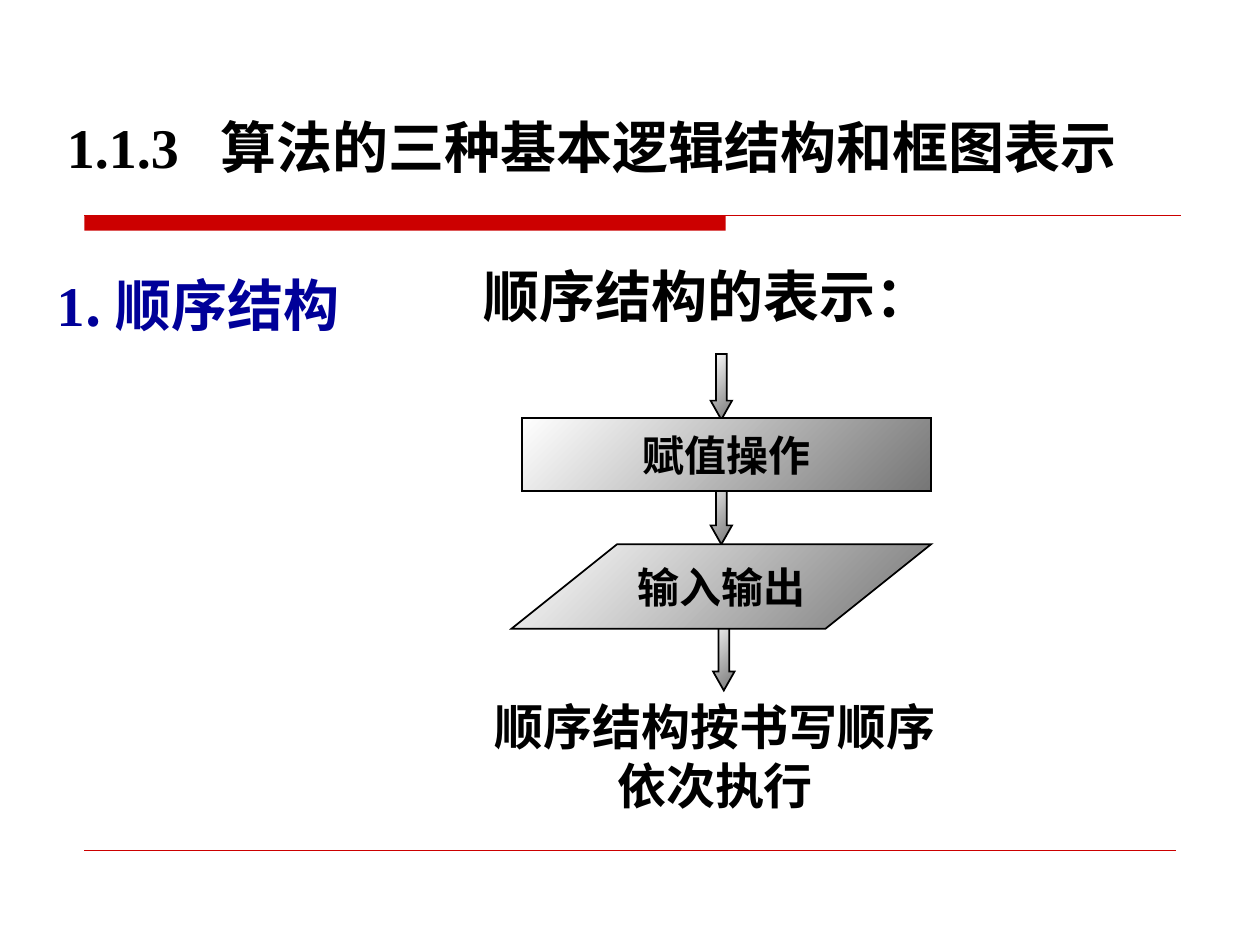
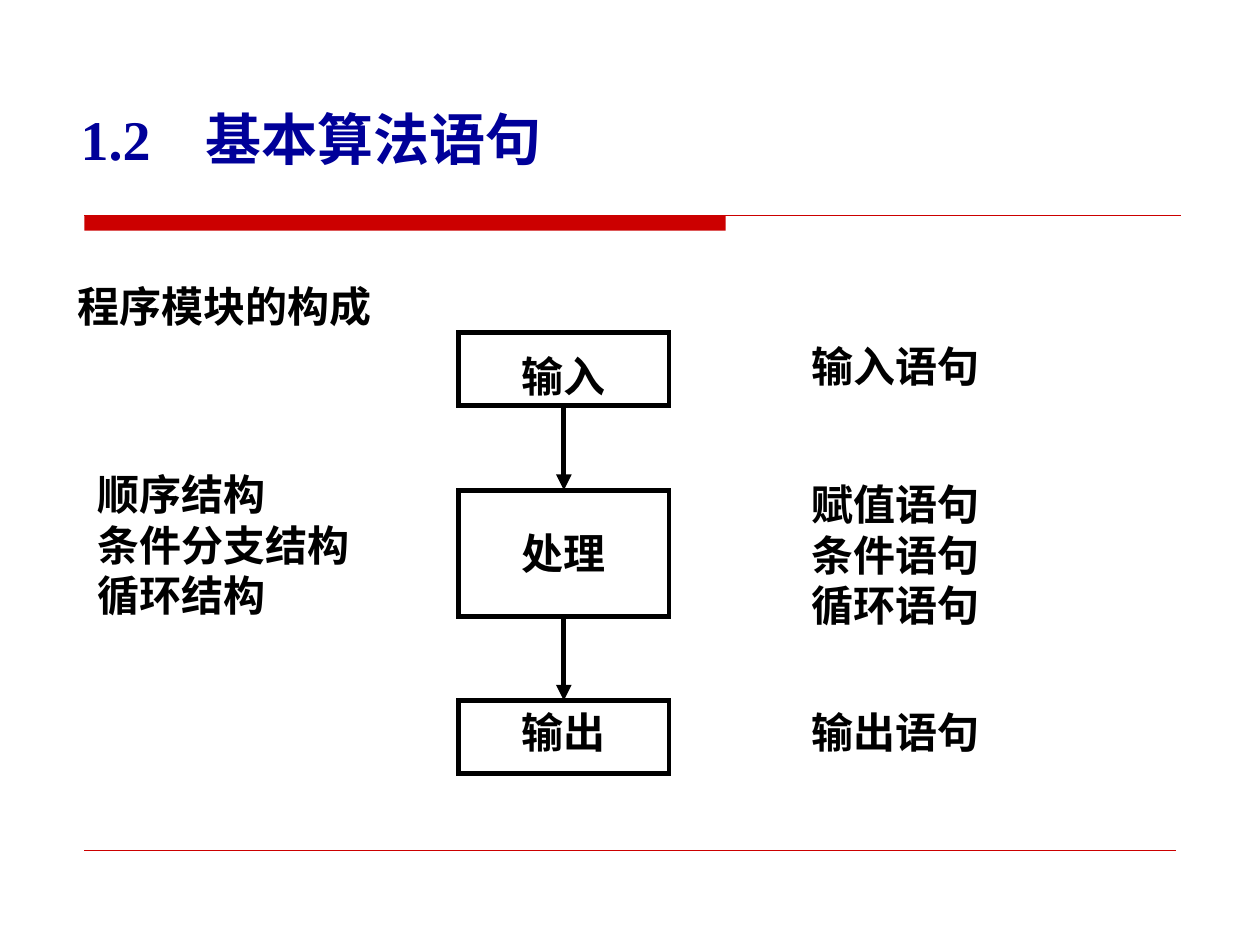
from lxml import etree
from pptx import Presentation
from pptx.dml.color import RGBColor
from pptx.enum.shapes import MSO_CONNECTOR, MSO_SHAPE
from pptx.enum.text import MSO_ANCHOR, MSO_AUTO_SIZE, PP_ALIGN
from pptx.oxml.ns import qn
from pptx.util import Inches, Pt

LEFT, CENTER = PP_ALIGN.LEFT, PP_ALIGN.CENTER
TOP, MIDDLE = MSO_ANCHOR.TOP, MSO_ANCHOR.MIDDLE
RECTANGLE, PROCESS = MSO_SHAPE.RECTANGLE, MSO_SHAPE.FLOWCHART_PROCESS
PARALLELOGRAM, DOWN_ARROW = MSO_SHAPE.PARALLELOGRAM, MSO_SHAPE.DOWN_ARROW
STRAIGHT = MSO_CONNECTOR.STRAIGHT

RED = RGBColor(0xCC, 0x00, 0x00)
BLUE = RGBColor(0x00, 0x00, 0x99)
BLACK = RGBColor(0x00, 0x00, 0x00)
WHITE = RGBColor(0xFF, 0xFF, 0xFF)
GRAY = RGBColor(0x76, 0x76, 0x76)
SERIF, CJK = "Times New Roman", "Noto Sans CJK SC"

# Content; boxes are (left, top, width, height) in inches
SEQUENCE = {
    "title": ("1.1.3\t算法的三种基本逻辑结构和框图表示", (0.43, 0.84, 8.8, 0.64), BLACK, 1.22),
    "topic": ([("1", SERIF), (". 顺序结构", CJK)], (0.35, 2.1, 2.75, 0.64)),
    "heading": ("顺序结构的表示：", (3.74, 2.02, 4, 0.64)),
    "steps": [
        ("赋值操作", RECTANGLE, (4.14, 3.32, 3.25, 0.58)),
        ("输入输出", PARALLELOGRAM, (4.06, 4.32, 3.33, 0.67)),
    ],
    # left, top, height
    "arrows": [(5.64, 2.81, 0.52), (5.64, 3.74, 0.58), (5.66, 4.9, 0.58)],
    "caption": (["顺序结构按书写顺序", "依次执行"], (3.83, 5.48, 3.69, 1.04)),
}
STATEMENTS = {
    "title": ("1.2\t基本算法语句", (0.54, 0.78, 8.8, 0.64), BLUE, 0.99),
    "heading": ("程序模块的构成", (0.52, 2.18, 2.53, 0.5)),
    "structures": (["顺序结构", "条件分支结构", "循环结构"], (0.67, 3.67, 2.54, 1.3)),
    # stage, top, height, downward shift of its label
    "stages": [("输入", 2.64, 0.58, 0.05), ("处理", 3.89, 1, 0), ("输出", 5.56, 0.58, -0.04)],
    "processing": (["赋值语句", "条件语句", "循环语句"], 3.75),
    "single": [("输入语句", 2.65), ("输出语句", 5.56)],
}
STAGE_LEFT, STAGE_WIDTH = 3.64, 1.67
STATEMENT_LEFT, STATEMENT_WIDTH, LINE_HEIGHT = 6.34, 2, 0.5
ARROW_WIDTH, ARROW_HEAD = 0.17, 0.15
MARGIN_LEFT = 0.67
BAND_TOP, BAND_WIDTH, BAND_HEIGHT = 1.71, 5.09, 0.12
# top, right end, line width
RULES = [(BAND_TOP, 9.37, 1), (6.75, 9.33, 0.25)]


def inches(box):
    return [Inches(length) for length in box]


def place(shape, box):
    shape.left, shape.top, shape.width, shape.height = inches(box)


def write(shape, lines, size, color=BLACK, align=LEFT, anchor=TOP, wrap=True, tab=None):
    """Fill a shape with lines; a line is a string or a list of (text, latin font)."""
    frame = shape.text_frame
    frame.word_wrap = wrap
    frame.auto_size = MSO_AUTO_SIZE.NONE
    frame.vertical_anchor = anchor
    for number, line in enumerate(lines):
        paragraph = frame.add_paragraph() if number else frame.paragraphs[0]
        paragraph.alignment = align
        paragraph.space_before = Pt(0)
        properties = paragraph._p.get_or_add_pPr()
        etree.SubElement(properties, qn("a:buNone"))
        if tab:  # an explicit indent would cancel the tab stop
            stops = etree.SubElement(properties, qn("a:tabLst"))
            etree.SubElement(stops, qn("a:tab"), pos=str(Inches(tab)), algn="l")
        else:
            properties.set("marL", "0")
            properties.set("indent", "0")
        font = paragraph.font
        font.size, font.bold, font.name = Pt(size), True, SERIF
        font.color.rgb = color
        east_asian = etree.SubElement(properties.find(qn("a:defRPr")), qn("a:ea"))
        east_asian.set("typeface", CJK)
        if isinstance(line, str):
            paragraph.add_run().text = line
        else:
            for text, latin in line:
                run = paragraph.add_run()
                run.text, run.font.name = text, latin


def add_text(slide, lines, box, size, **style):
    write(slide.shapes.add_textbox(*inches(box)), lines, size, **style)


def add_line(slide, start, end, color, width, arrow=False):
    line = slide.shapes.add_connector(STRAIGHT, *inches(start + end))
    line.line.color.rgb, line.line.width = color, Pt(width)
    properties = line._element.spPr
    if arrow:
        etree.SubElement(properties.find(qn("a:ln")), qn("a:tailEnd"), type="triangle")
    etree.SubElement(properties, qn("a:effectLst"))


def add_shape(slide, kind, box, line_width=1, gradient=False):
    shape = slide.shapes.add_shape(kind, *inches(box))
    shape.shadow.inherit = False
    shape.line.color.rgb, shape.line.width = BLACK, Pt(line_width)
    outline = shape._element.spPr.find(qn("a:ln"))
    etree.SubElement(outline, qn("a:miter"), lim="800000")
    if gradient:
        shape.fill.gradient()
        shape.fill.gradient_angle = 315
        for stop, color in zip(shape.fill.gradient_stops, (WHITE, GRAY)):
            stop.color.rgb = color
    else:
        shape.fill.background()
    return shape


def start_slide(deck, layout, title):
    """Add a slide with its title, red band and rules."""
    slide = deck.slides.add_slide(deck.slide_layouts[layout])
    text, box, color, tab = title
    place(slide.shapes.title, box)
    write(slide.shapes.title, [text], 32, color=color, tab=tab)
    band = add_shape(slide, RECTANGLE, (MARGIN_LEFT, BAND_TOP, BAND_WIDTH, BAND_HEIGHT))
    band.fill.solid()
    band.fill.fore_color.rgb = RED
    band.line.fill.background()
    for top, right, width in RULES:
        add_line(slide, (MARGIN_LEFT, top), (right, top), RED, width)
    return slide


def build_sequence(deck):
    slide = start_slide(deck, 1, SEQUENCE["title"])
    topic, box = SEQUENCE["topic"]
    place(slide.placeholders[1], box)
    write(slide.placeholders[1], [topic], 32, color=BLUE)
    heading, box = SEQUENCE["heading"]
    add_text(slide, [heading], box, 32, anchor=MIDDLE)

    # Flow: arrows tuck under the steps
    for left, top, height in SEQUENCE["arrows"]:
        arrow = add_shape(slide, DOWN_ARROW, (left, top, ARROW_WIDTH, height), gradient=True)
        arrow.adjustments[1] = ARROW_HEAD / ARROW_WIDTH
    for label, kind, box in SEQUENCE["steps"]:
        step = add_shape(slide, kind, box, gradient=True)
        if kind == PARALLELOGRAM:
            step.adjustments[0] = 1.25
        write(step, [label], 24, align=CENTER, anchor=MIDDLE, wrap=False)

    caption, box = SEQUENCE["caption"]
    add_text(slide, caption, box, 28, align=CENTER, wrap=False)


def build_statements(deck):
    slide = start_slide(deck, 3, STATEMENTS["title"])
    heading, box = STATEMENTS["heading"]
    add_text(slide, [heading], box, 24, wrap=False)

    # Structures on the left, statements on the right
    structures, box = STATEMENTS["structures"]
    place(slide.placeholders[1], box)
    write(slide.placeholders[1], structures, 24)
    processing, top = STATEMENTS["processing"]
    place(slide.placeholders[2], (STATEMENT_LEFT, top, STATEMENT_WIDTH, 1.3))
    write(slide.placeholders[2], processing, 24)
    for statement, top in STATEMENTS["single"]:
        box = (STATEMENT_LEFT, top, STATEMENT_WIDTH, LINE_HEIGHT)
        add_text(slide, [statement], box, 24)

    # Stages joined by arrows
    middle = STAGE_LEFT + STAGE_WIDTH / 2
    previous_bottom = None
    for label, top, height, shift in STATEMENTS["stages"]:
        stage = add_shape(slide, PROCESS, (STAGE_LEFT, top, STAGE_WIDTH, height), 2.75)
        write(stage, [label], 24, align=CENTER, anchor=MIDDLE, wrap=False)
        stage.text_frame.margin_top = Inches(0.05 + shift)
        stage.text_frame.margin_bottom = Inches(0.05 - shift)
        if previous_bottom:
            add_line(slide, (middle, previous_bottom), (middle, top), BLACK, 3, arrow=True)
        previous_bottom = top + height


def main():
    deck = Presentation()
    deck.slide_width, deck.slide_height = Inches(10), Inches(7.5)
    build_sequence(deck)
    build_statements(deck)
    deck.save("out.pptx")


if __name__ == "__main__":
    main()
